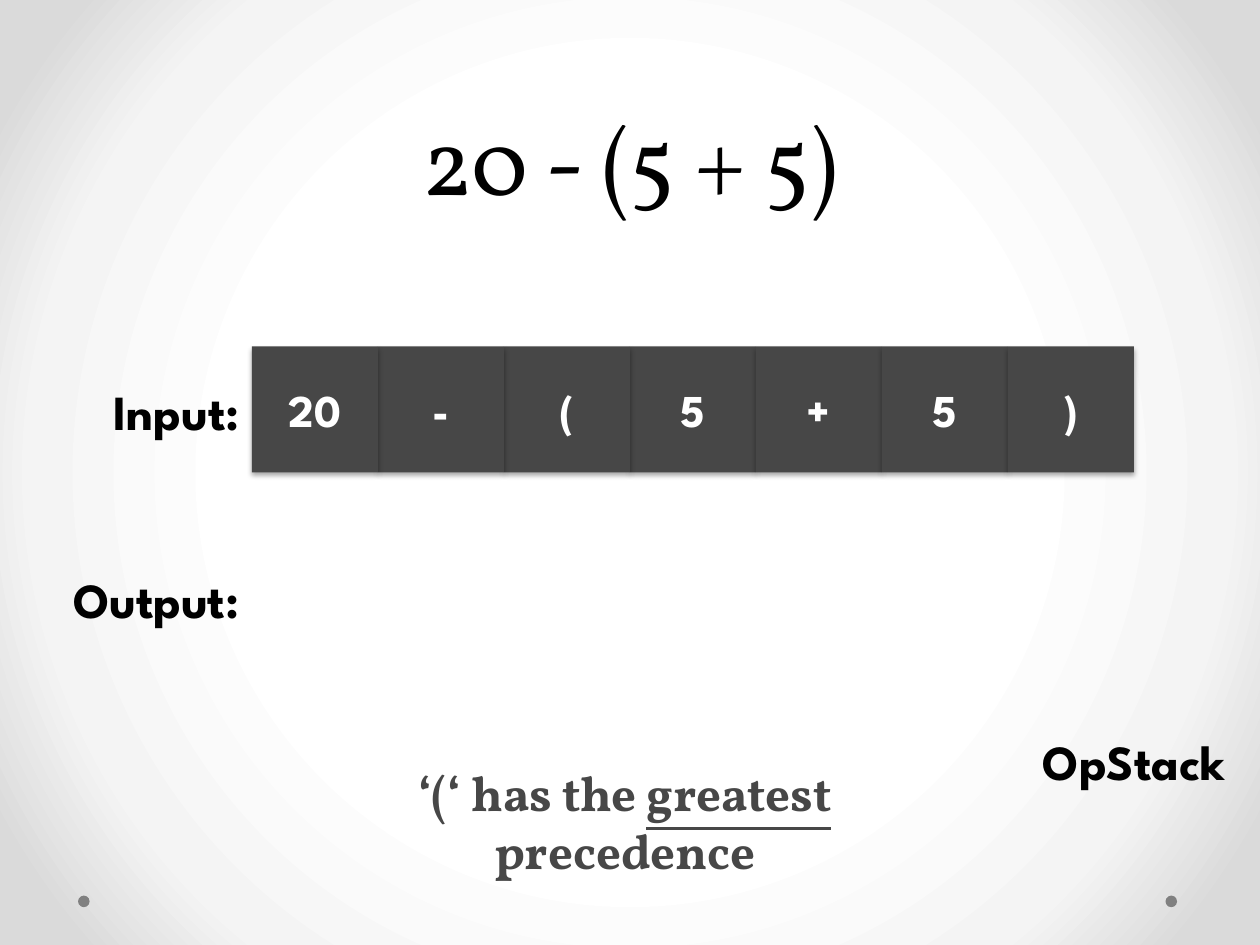
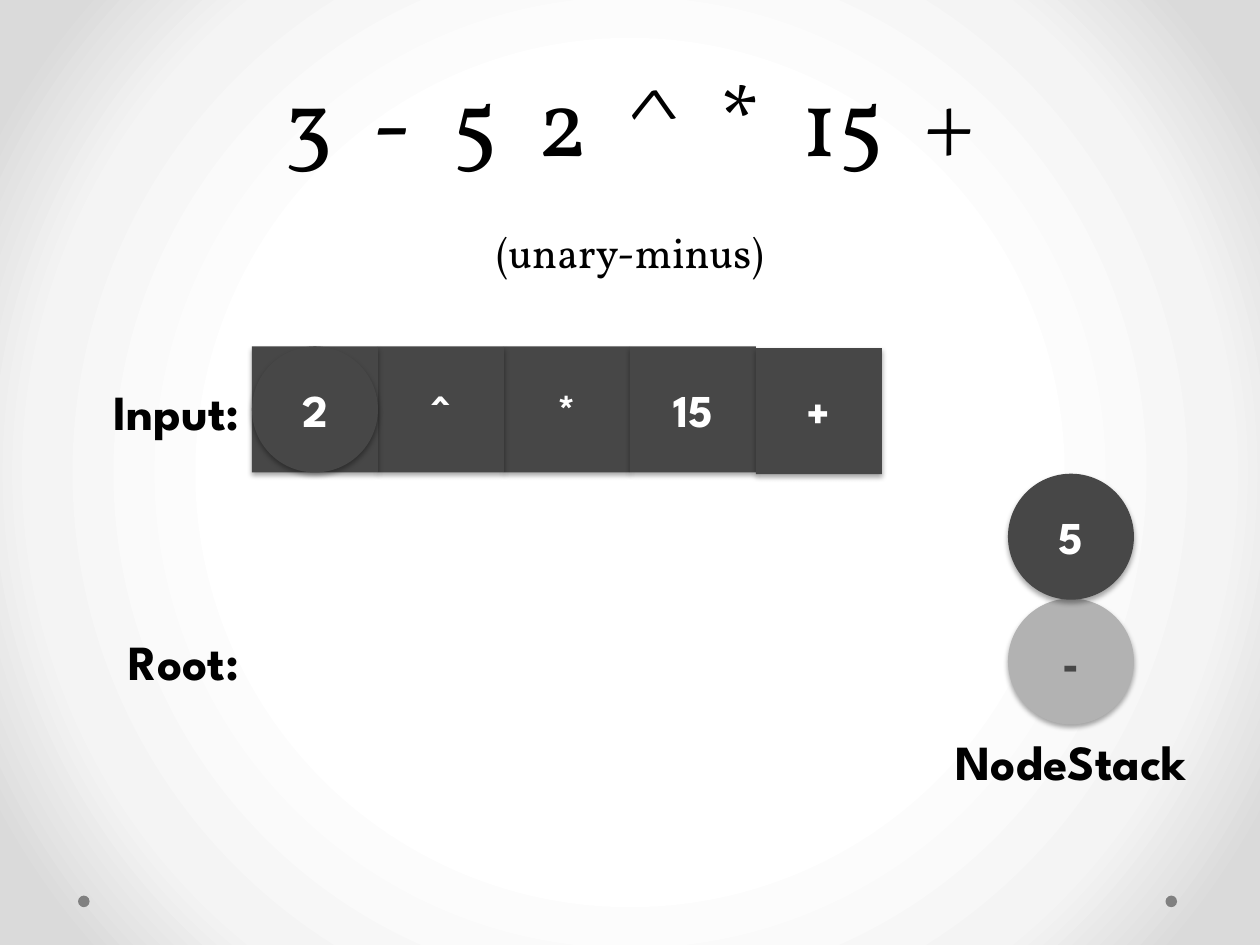
from lxml import etree
from pptx import Presentation
from pptx.dml.color import RGBColor
from pptx.enum.shapes import MSO_SHAPE
from pptx.enum.text import MSO_ANCHOR, PP_ALIGN
from pptx.oxml import parse_xml
from pptx.util import Pt

SANS, SERIF = "League Spartan", "Vollkorn"
BLACK, WHITE, DARK, PALE, DOT = "000000", "FFFFFF", "474747", "B2B2B2", "808080"
NS = "http://schemas.openxmlformats.org/drawingml/2006/main"
BACKDROP = [(50, "FFFFFF"), (76, "F4F4F4"), (92, "DADADA")]
TILE = 72
ROW_LEFT, ROW_TOP = 144, 198
DOTS = [(666, 511.8), (44.6, 511.8)]
DOT_SIZE = 6.6
TITLE_LINE = 58
WIDE_GAP = 12
RECT, OVAL = MSO_SHAPE.RECTANGLE, MSO_SHAPE.OVAL
LEFT_LABEL = (PP_ALIGN.RIGHT, MSO_ANCHOR.MIDDLE)
STACK_LABEL = (PP_ALIGN.CENTER, MSO_ANCHOR.TOP)

# tokens: input row from left to right; order: columns from back to front
# labels: text, box, alignment; nodes: text, shape, left, top, fill, text colour
SLIDES = [
    {
        "title": ["20 - (5 + 5)"], "title_top": 0, "gap": 0,
        "tokens": ["20", "-", "(", "5", "+", "5", ")"],
        "order": [3, 4, 5, 6, 2, 1, 0],
        "labels": [
            ("Input:", (0, 198.7, 144, 72), LEFT_LABEL),
            ("Output:", (0, 306, 144, 72), LEFT_LABEL),
            ("OpStack", (576, 414.7, 144, 41), STACK_LABEL),
        ],
        "nodes": [],
        "note": [("‘(‘ has the ", False), ("greatest", True), (" precedence", False)],
    },
    {
        "title": ["3 - 5 2 ^ * 15 +", "(unary-minus)"], "title_top": 36, "gap": WIDE_GAP,
        "tokens": ["2", "^", "*", "15"],
        "order": [2, 3, 1, 0],
        "labels": [
            ("Input:", (0, 198.7, 144, 72), LEFT_LABEL),
            ("Root:", (0, 357, 144, 41), LEFT_LABEL),
            ("NodeStack", (522, 414.7, 180, 41), STACK_LABEL),
        ],
        "nodes": [
            ("+", RECT, 432, 199, DARK, WHITE),
            ("-", OVAL, 576, 342, PALE, DARK),
            ("2", OVAL, 144, 198, DARK, WHITE),
            ("5", OVAL, 576, 270.7, DARK, WHITE),
        ],
        "note": [],
    },
]


def rgb(value):
    return RGBColor.from_string(value)


def set_font(font, name, size, color, bold=False):
    font.name, font.size, font.bold = name, Pt(size), bold
    font.color.rgb = rgb(color)


def set_backdrop(master):
    """Give the master a circular gradient that every slide inherits."""
    master.background.fill.solid()
    bg = master.element.xpath(".//p:bgPr")[0]
    stops = "".join(f'<a:gs pos="{pos * 1000}"><a:srgbClr val="{color}"/></a:gs>'
                    for pos, color in BACKDROP)
    bg.replace(bg[0], parse_xml(
        f'<a:gradFill xmlns:a="{NS}" rotWithShape="1"><a:gsLst>{stops}</a:gsLst>'
        '<a:path path="circle"><a:fillToRect l="50000" t="50000" r="50000" b="50000"/>'
        '</a:path></a:gradFill>'))


def add_plain_shape(s, kind, left, top, size, fill):
    sp = s.shapes.add_shape(kind, Pt(left), Pt(top), Pt(size), Pt(size))
    sp.shadow.inherit = False
    sp.fill.solid()
    sp.fill.fore_color.rgb = rgb(fill)
    sp.line.fill.background()
    return sp


def add_node(s, text, kind, left, top, fill=DARK, color=WHITE):
    """Add one shadowed tile or circle holding a token."""
    sp = add_plain_shape(s, kind, left, top, TILE, fill)
    effects = sp._element.spPr.find(f"{{{NS}}}effectLst")
    shadow = etree.SubElement(effects, f"{{{NS}}}outerShdw", blurRad=str(Pt(3.1)),
                              dist=str(Pt(1.8)), dir="5400000", rotWithShape="0")
    black = etree.SubElement(shadow, f"{{{NS}}}srgbClr", val=BLACK)
    etree.SubElement(black, f"{{{NS}}}alpha", val="35000")
    tf = sp.text_frame
    tf.vertical_anchor = MSO_ANCHOR.MIDDLE
    p = tf.paragraphs[0]
    p.text, p.alignment = text, PP_ALIGN.CENTER
    set_font(p.font, SANS, 26, color, True)


def add_text_box(s, box, align, anchor):
    """Add a wrapping text box and return its first paragraph."""
    tf = s.shapes.add_textbox(*map(Pt, box)).text_frame
    tf.word_wrap = True
    tf.vertical_anchor = anchor
    p = tf.paragraphs[0]
    p.alignment = align
    return p


def add_title(s, lines, top, gap):
    """Add the expression; gap widens the space between its tokens."""
    p = add_text_box(s, (36, top, 648, 126), PP_ALIGN.CENTER, MSO_ANCHOR.BOTTOM)
    p.line_spacing = Pt(TITLE_LINE)
    for i, token in enumerate(lines[0].split(" ")):
        for text in ([" "] if i else []) + [token]:
            r = p.add_run()
            r.text = text
            set_font(r.font, SERIF, 54, BLACK)
            if text == " " and gap:
                r.font._element.set("spc", str(gap * 100))
    for line in lines[1:]:
        p.add_line_break()
        r = p.add_run()
        r.text = line
        set_font(r.font, SERIF, 24, BLACK)


def add_note(s, parts):
    p = add_text_box(s, (156, 432, 402, 41), *STACK_LABEL)
    for text, underlined in parts:
        r = p.add_run()
        r.text = text
        r.font.underline = underlined
    set_font(p.font, SERIF, 28, DARK, True)


def build_slide(prs, content):
    s = prs.slides.add_slide(prs.slide_layouts[6])
    for left, top in DOTS:
        add_plain_shape(s, OVAL, left, top, DOT_SIZE, DOT)
    for column in content["order"]:
        add_node(s, content["tokens"][column], RECT, ROW_LEFT + column * TILE, ROW_TOP)
    for text, box, layout in content["labels"]:
        p = add_text_box(s, box, *layout)
        p.text = text
        set_font(p.font, SANS, 28, BLACK, True)
    add_title(s, content["title"], content["title_top"], content["gap"])
    for node in content["nodes"]:
        add_node(s, *node)
    if content["note"]:
        add_note(s, content["note"])


def main():
    prs = Presentation()
    prs.slide_width, prs.slide_height = Pt(720), Pt(540)
    set_backdrop(prs.slide_master)
    for content in SLIDES:
        build_slide(prs, content)
    prs.save("out.pptx")


if __name__ == "__main__":
    main()
